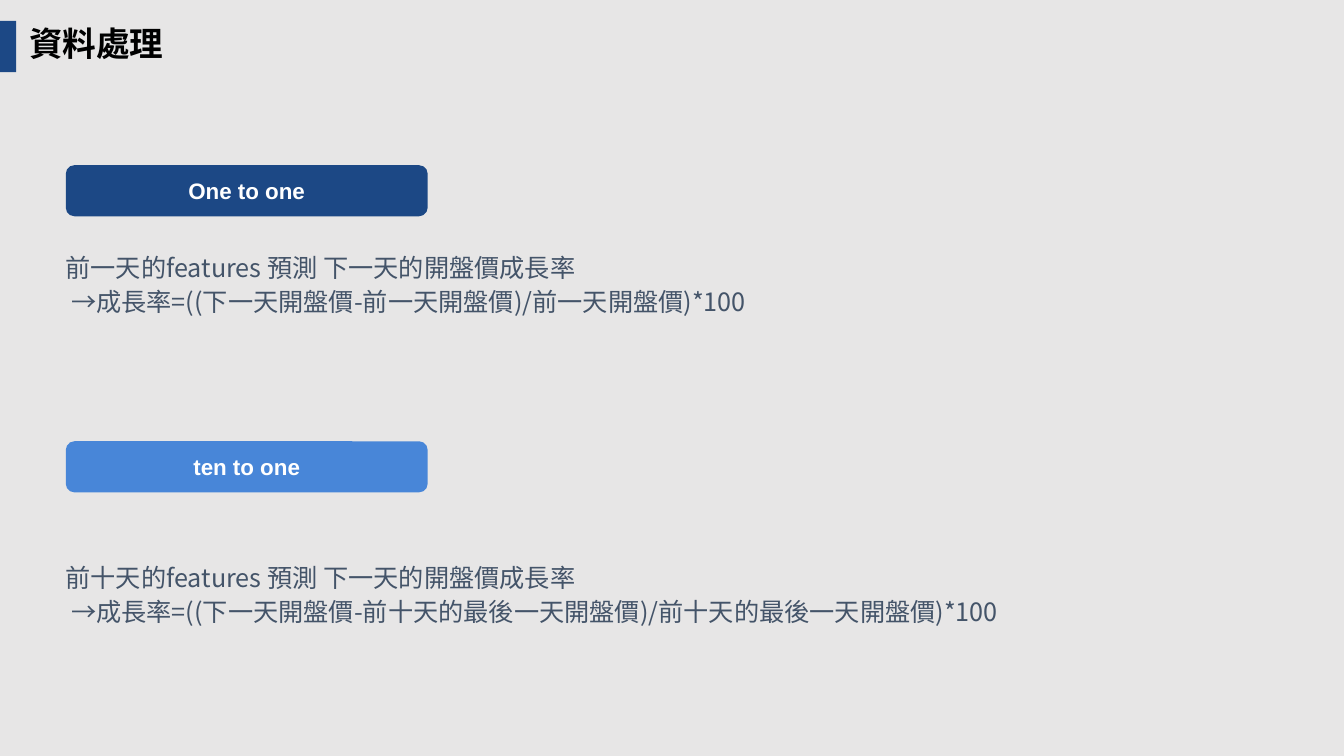
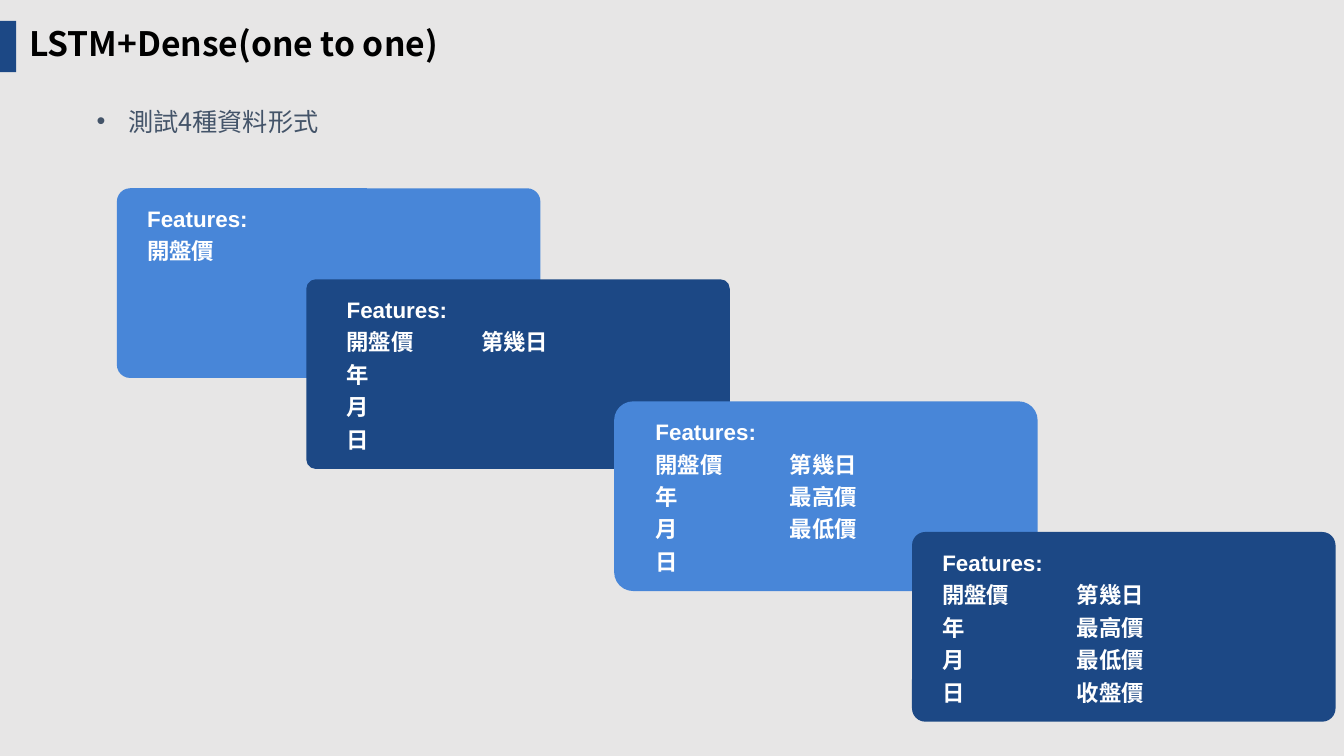
"""Build two slides on data preparation and LSTM input features."""
from lxml import etree
from pptx import Presentation
from pptx.dml.color import RGBColor
from pptx.enum.shapes import MSO_SHAPE
from pptx.enum.text import MSO_ANCHOR, PP_ALIGN
from pptx.oxml.ns import qn
from pptx.util import Pt

RECTANGLE, ROUNDED = MSO_SHAPE.RECTANGLE, MSO_SHAPE.ROUNDED_RECTANGLE
TOP, MIDDLE = MSO_ANCHOR.TOP, MSO_ANCHOR.MIDDLE
LEFT, CENTER = PP_ALIGN.LEFT, PP_ALIGN.CENTER

NAVY, BLUE, GREY, SLATE = "1C4885", "4886D8", "E7E6E6", "445469"
BLACK, WHITE = "000000", "FFFFFF"
CJK, LATIN = "Noto Sans CJK SC", "Arial"
TITLE = (24, CJK, BLACK, True)
BODY = (18, CJK, SLATE, False)
LABEL = (16, LATIN, WHITE, True)


def add_block(slide, left, top, width, height, fill, corner=None):
    """Add a flat filled block, rounded if a corner ratio is given."""
    kind = RECTANGLE if corner is None else ROUNDED
    block = slide.shapes.add_shape(kind, Pt(left), Pt(top), Pt(width), Pt(height))
    if corner is not None:
        block.adjustments[0] = corner
    block.shadow.inherit = False
    block.fill.solid()
    block.fill.fore_color.rgb = RGBColor.from_string(fill)
    block.line.fill.background()
    return block


def write(shape, lines, style, align=LEFT, anchor=TOP, insets=(0, 0), gap=0):
    """Write one paragraph per line into a shape and return the paragraphs."""
    size, typeface, color, bold = style
    frame = shape.text_frame
    frame.word_wrap = True
    frame.vertical_anchor = anchor
    frame.margin_left = frame.margin_right = Pt(insets[0])
    frame.margin_top = frame.margin_bottom = Pt(insets[1])
    for index, line in enumerate(lines):
        paragraph = frame.add_paragraph() if index else frame.paragraphs[0]
        paragraph.alignment = align
        if index:
            paragraph.space_before = Pt(gap)
        run = paragraph.add_run()
        run.text = line
        run.font.size = Pt(size)
        run.font.bold = bold
        run.font.color.rgb = RGBColor.from_string(color)
        run.font.name = typeface
        etree.SubElement(run.font._element, qn("a:ea"), typeface=typeface)
    return frame.paragraphs


prs = Presentation()
prs.slide_width, prs.slide_height = Pt(960), Pt(540)
background = prs.slide_master.background.fill
background.solid()
background.fore_color.rgb = RGBColor.from_string(GREY)

slides = []
for heading in ("資料處理", "LSTM+Dense(one to one)"):
    slide = prs.slides.add_slide(prs.slide_layouts[6])
    title = slide.shapes.add_textbox(Pt(13.7), Pt(13), Pt(800), Pt(42))
    write(title, [heading], TITLE, insets=(7.2, 3.6))
    add_block(slide, 0, 15, 11.5, 36.5, NAVY)
    slides.append(slide)
processing, model = slides

schemes = [
    ("One to one", NAVY, 118, 180,
     ["前一天的features 預測 下一天的開盤價成長率",
      "→成長率=((下一天開盤價-前一天開盤價)/前一天開盤價)*100"]),
    ("ten to one", BLUE, 315.2, 401.4,
     ["前十天的features 預測 下一天的開盤價成長率",
      "→成長率=((下一天開盤價-前十天的最後一天開盤價)/前十天的最後一天開盤價)*100"]),
]
for name, fill, pill_top, formula_top, lines in schemes:
    pill = add_block(processing, 47, pill_top, 258.5, 36.5, fill, 0.17)
    write(pill, [name], LABEL, CENTER, MIDDLE)
    formula = processing.shapes.add_textbox(Pt(46.8), Pt(formula_top), Pt(762.5), Pt(60))
    paragraphs = write(formula, lines, BODY, gap=3.2)
    paragraphs[1]._p.get_or_add_pPr().set("marL", str(Pt(4)))

topic = model.shapes.add_textbox(Pt(69), Pt(75.7), Pt(331), Pt(36))
bullet = write(topic, ["測試4種資料形式"], BODY)[0]._p.get_or_add_pPr()
bullet.set("marL", str(Pt(22.5)))
bullet.set("indent", str(Pt(-22.5)))
etree.SubElement(bullet, qn("a:buFont"), typeface=LATIN)
etree.SubElement(bullet, qn("a:buChar"), char="•")

CARD_WIDTH, CARD_HEIGHT = 302.5, 135.5
feature_sets = [
    (83.5, 134.5, BLUE, 0.07, 21.6, ["開盤價"]),
    (218.8, 199.5, NAVY, 0.05, 28.8, ["開盤價\t第幾日", "年", "月", "日"]),
    (438.7, 286.7, BLUE, 0.1, 29.5, ["開盤價\t第幾日", "年\t最高價", "月\t最低價", "日"]),
    (651.5, 380, NAVY, 0.07, 21.6,
     ["開盤價\t第幾日", "年\t最高價", "月\t最低價", "日\t收盤價"]),
]
for left, top, fill, corner, indent, features in feature_sets:
    card = add_block(model, left, top, CARD_WIDTH, CARD_HEIGHT, fill, corner)
    corner_inset = 0.29 * corner * CARD_HEIGHT
    insets = (indent - corner_inset, 12 - corner_inset)
    for paragraph in write(card, ["Features:"] + features, LABEL, insets=insets, gap=4):
        tabs = etree.SubElement(paragraph._p.get_or_add_pPr(), qn("a:tabLst"))
        etree.SubElement(tabs, qn("a:tab"), pos=str(Pt(96)), algn="l")

prs.save("out.pptx")
